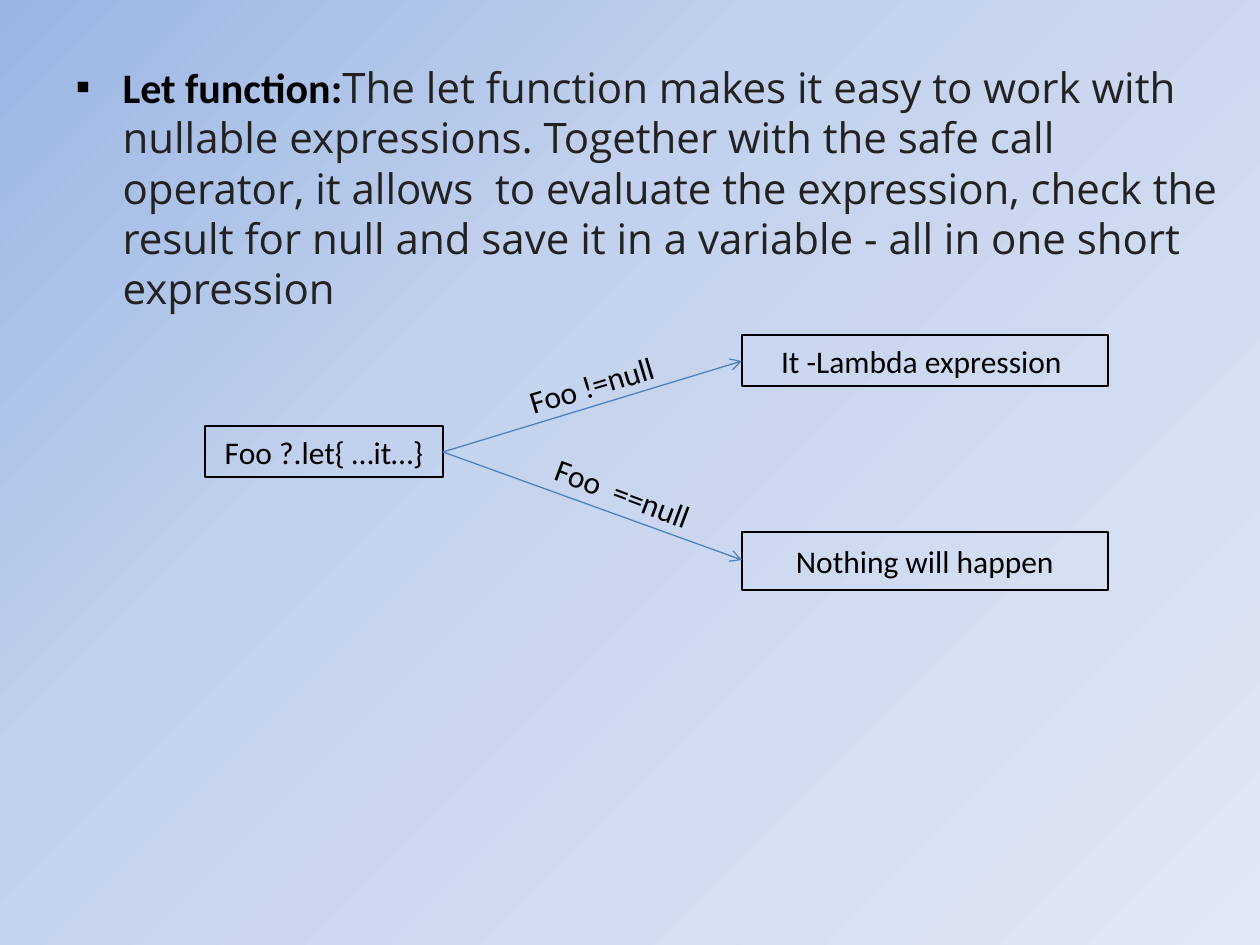
from copy import deepcopy
from lxml import etree
from pptx import Presentation
from pptx.dml.color import RGBColor
from pptx.enum.shapes import MSO_CONNECTOR, MSO_SHAPE
from pptx.enum.text import MSO_ANCHOR, MSO_AUTO_SIZE, PP_ALIGN
from pptx.oxml.ns import qn
from pptx.util import Pt

PIXEL = 914400 // 126
STRAIGHT = MSO_CONNECTOR.STRAIGHT
RECTANGLE = MSO_SHAPE.RECTANGLE
MIDDLE = MSO_ANCHOR.MIDDLE
CENTER = PP_ALIGN.CENTER
NO_FIT = MSO_AUTO_SIZE.NONE
GROW = MSO_AUTO_SIZE.SHAPE_TO_FIT_TEXT


def color(value):
    return RGBColor.from_string(value)


def format_span(span, size, font, value, bold=False):
    span.font.size = Pt(size)
    span.font.name = font
    span.font.color.rgb = color(value)
    span.font.bold = bold


deck = Presentation()
deck.slide_width = 1260 * PIXEL
deck.slide_height = 945 * PIXEL
page = deck.slides.add_slide(deck.slide_layouts[1])
title = page.shapes.title.element
title.getparent().remove(title)

background = page.background.fill
background.gradient()
background.gradient_angle = 315
first_stop = next(page.element.iter(qn("a:gs")))
first_stop.addnext(deepcopy(first_stop))
stops = [(0, "9AB5E4"), (0.37, "C2D1ED"), (1, "E1E8F5")]
for stop, (position, value) in zip(background.gradient_stops, stops):
    stop.position = position
    stop.color.rgb = color(value)

body = page.placeholders[1]
body.left, body.top, body.width, body.height = [n * PIXEL for n in (63, 55, 1172, 277)]
body.text_frame.auto_size = NO_FIT
para = body.text_frame.paragraphs[0]
para.space_before = Pt(4.8)
para.line_spacing = 1.0
heading = para.add_run()
heading.text = "Let function:"
format_span(heading, 24, "Calibri", "000000", True)
explanation = para.add_run()
explanation.text = (
    "The let function makes it easy to work with nullable expressions. "
    "Together with the safe call operator, it allows  to evaluate the expression, "
    "check the result for null and save it in a variable - all in one short expression"
)
format_span(explanation, 24, "Open Sans", "222222")
properties = para._p.get_or_add_pPr()
properties.set("marL", str(47 * PIXEL))
properties.set("indent", str(-47 * PIXEL))
etree.SubElement(properties, qn("a:buFont")).set("typeface", "Arial")
etree.SubElement(properties, qn("a:buChar")).set("char", "▪")

boxes = [
    ("Foo ?.let{ …it…}", 205, 426, 238, 51),
    ("It -Lambda expression ", 742, 335, 366, 51),
    ("Nothing will happen", 742, 532, 366, 58),
]
for text, left, top, width, height in boxes:
    box = page.shapes.add_shape(RECTANGLE, *[n * PIXEL for n in (left, top, width, height)])
    box.shadow.inherit = False
    box.fill.background()
    box.line.color.rgb = color("000000")
    box.line.width = Pt(0.75)
    box.text_frame.word_wrap = True
    box.text_frame.vertical_anchor = MIDDLE
    para = box.text_frame.paragraphs[0]
    para.text = text
    para.alignment = CENTER
    format_span(para.runs[0], 18, "Calibri", "000000")

for end_y in (361, 560):
    arrow = page.shapes.add_connector(STRAIGHT, *[n * PIXEL for n in (443, 452, 742, end_y)])
    arrow.line.color.rgb = color("4F81BD")
    arrow.line.width = Pt(0.75)
    etree.SubElement(arrow.line._get_or_add_ln(), qn("a:tailEnd")).set("type", "arrow")
    etree.SubElement(arrow._element.spPr, qn("a:effectLst"))

labels = [("Foo !=null", 515, 359, 155, 343.2), ("Foo  ==null", 540, 468, 167, 20.5)]
for text, left, top, width, angle in labels:
    label = page.shapes.add_textbox(*[n * PIXEL for n in (left, top, width, 51)])
    label.rotation = angle
    label.text_frame.word_wrap = False
    label.text_frame.auto_size = GROW
    label.text_frame.text = text
    format_span(label.text_frame.paragraphs[0].runs[0], 18, "Calibri", "000000")

deck.save("out.pptx")
